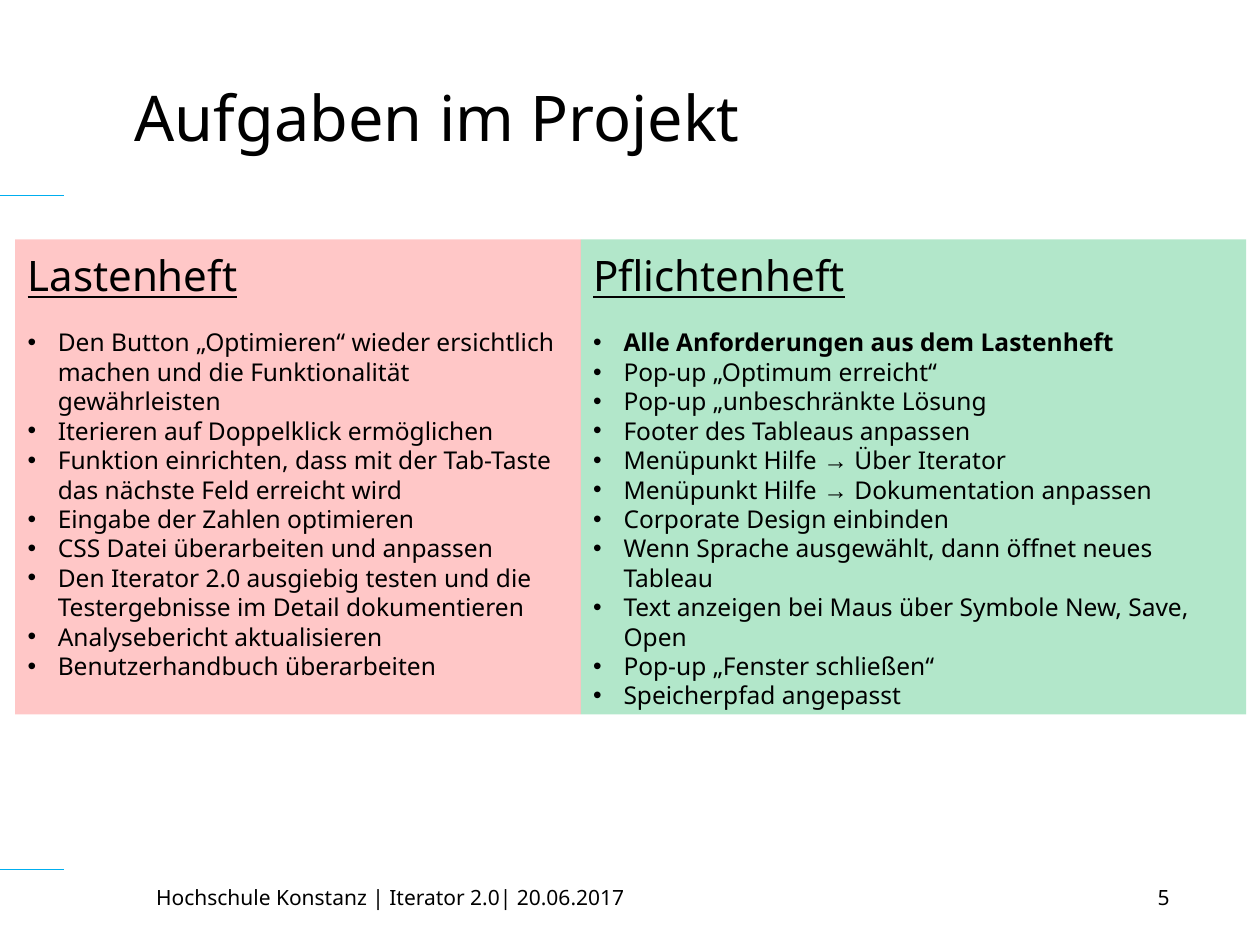
"""Build the slide that sets the project's requirements beside its commitments."""
import dataclasses

import lxml.etree
import pptx
import pptx.dml.color
import pptx.enum.shapes
import pptx.enum.text
import pptx.oxml.ns
import pptx.util

Inches = pptx.util.Inches
Pt = pptx.util.Pt
ALIGN = pptx.enum.text.PP_ALIGN
ANCHOR = pptx.enum.text.MSO_ANCHOR


@dataclasses.dataclass(frozen=True)
class Theme:
    font: str = "Noto Sans"
    symbol_font: str = "Arial"
    ink: str = "000000"
    accent: str = "00AEEF"
    red: str = "FF0000"
    green: str = "00B050"
    title: int = 36
    heading: int = 24
    body: int = 14
    footer: int = 12
    line_pitch: float = 1.2


THEME = Theme()
ARROW = "→"


def rgb(value):
    return pptx.dml.color.RGBColor.from_string(value)


def sub(parent, tag, **attributes):
    return lxml.etree.SubElement(parent, pptx.oxml.ns.qn(tag), **attributes)


def write(paragraph, text, size, bold=False, underline=False, align=ALIGN.LEFT,
          bullet=False, exact=False, before=0):
    if bullet:
        properties = paragraph._p.get_or_add_pPr()
        indent = Inches(0.24)
        properties.set("marL", str(indent))
        properties.set("indent", str(-indent))
        sub(sub(properties, "a:buClr"), "a:srgbClr", val=THEME.ink)
        sub(properties, "a:buFont", typeface=THEME.symbol_font)
        sub(properties, "a:buChar", char="•")
    paragraph.alignment = align
    if exact:
        paragraph.line_spacing = Pt(size * THEME.line_pitch)
    if before:
        paragraph.space_before = Pt(before)
    head, arrow, tail = text.partition(ARROW)
    for part in filter(None, (head, arrow, tail)):
        run = paragraph.add_run()
        run.text = part
        run.font.name = THEME.symbol_font if part == ARROW else THEME.font
        run.font.size = Pt(size)
        run.font.bold = bold
        run.font.underline = underline
        run.font.color.rgb = rgb(THEME.ink)


class SlideBuilder:
    def __init__(self, theme, slide):
        self.theme = theme
        self.shapes = slide.shapes

    def frame(self, shape, anchor, top_inset):
        frame = shape.text_frame
        frame.word_wrap = True
        frame.vertical_anchor = anchor
        frame.margin_left = frame.margin_right = Inches(0.1)
        frame.margin_top, frame.margin_bottom = Inches(top_inset), Inches(0.05)
        return frame

    def label(self, text, box, size, align=ALIGN.LEFT, anchor=ANCHOR.TOP, top_inset=0.04):
        shape = self.shapes.add_textbox(*map(Inches, box))
        frame = self.frame(shape, anchor, top_inset)
        write(frame.paragraphs[0], text, size, align=align)

    def accent_line(self, y):
        line = self.shapes.add_connector(
            pptx.enum.shapes.MSO_CONNECTOR.STRAIGHT,
            Inches(-0.04), Inches(y), Inches(0.51), Inches(y))
        line.line.color.rgb = rgb(self.theme.accent)
        line.line.width = Pt(0.75)
        sub(line._element.spPr, "a:effectLst")

    def panel(self, heading, tasks, box, color, opacity, bold_first=False):
        shape = self.shapes.add_shape(
            pptx.enum.shapes.MSO_SHAPE.RECTANGLE, *map(Inches, box))
        shape.shadow.inherit = False
        shape.line.fill.background()
        shape.fill.solid()
        shape.fill.fore_color.rgb = rgb(color)
        tint = shape._element.spPr.find(".//" + pptx.oxml.ns.qn("a:srgbClr"))
        sub(tint, "a:alpha", val=str(opacity * 1000))
        frame = self.frame(shape, ANCHOR.TOP, 0.08)
        write(frame.paragraphs[0], heading, self.theme.heading, underline=True, exact=True)
        for index, task in enumerate(tasks):
            first = index == 0
            write(frame.add_paragraph(), task, self.theme.body, bold=bold_first and first,
                  bullet=True, exact=True, before=15.8 if first else 0)


REQUIREMENTS = [
    "Den Button „Optimieren“ wieder ersichtlich machen und die Funktionalität gewährleisten",
    "Iterieren auf Doppelklick ermöglichen",
    "Funktion einrichten, dass mit der Tab-Taste das nächste Feld erreicht wird",
    "Eingabe der Zahlen optimieren",
    "CSS Datei überarbeiten und anpassen",
    "Den Iterator 2.0 ausgiebig testen und die Testergebnisse im Detail dokumentieren",
    "Analysebericht aktualisieren",
    "Benutzerhandbuch überarbeiten",
]
COMMITMENTS = [
    "Alle Anforderungen aus dem Lastenheft",
    "Pop-up „Optimum erreicht“",
    "Pop-up „unbeschränkte Lösung",
    "Footer des Tableaus anpassen",
    "Menüpunkt Hilfe → Über Iterator",
    "Menüpunkt Hilfe → Dokumentation anpassen",
    "Corporate Design einbinden",
    "Wenn Sprache ausgewählt, dann öffnet neues Tableau",
    "Text anzeigen bei Maus über Symbole New, Save, Open",
    "Pop-up „Fenster schließen“",
    "Speicherpfad angepasst",
]


def main():
    deck = pptx.Presentation()
    deck.slide_width, deck.slide_height = Inches(10), Inches(7.5)
    builder = SlideBuilder(THEME, deck.slides.add_slide(deck.slide_layouts[6]))

    for y in (1.55, 6.9):
        builder.accent_line(y)
    builder.label("Aufgaben im Projekt", (0.97, 0.3, 8.44, 1.25), THEME.title,
                  anchor=ANCHOR.MIDDLE, top_inset=0.05)

    left, top, height = 0.12, 1.9, 3.77
    left_width, right_width = 4.49, 5.28
    builder.panel("Lastenheft", REQUIREMENTS, (left, top, left_width, height),
                  THEME.red, 22)
    builder.panel("Pflichtenheft", COMMITMENTS,
                  (left + left_width, top, right_width, height),
                  THEME.green, 30, bold_first=True)

    builder.label("Hochschule Konstanz | Iterator 2.0| 20.06.2017",
                  (1.14, 6.98, 6.62, 0.52), THEME.footer)
    builder.label("5", (8.07, 6.98, 1.31, 0.52), THEME.footer, align=ALIGN.RIGHT)
    deck.save("out.pptx")


if __name__ == "__main__":
    main()
